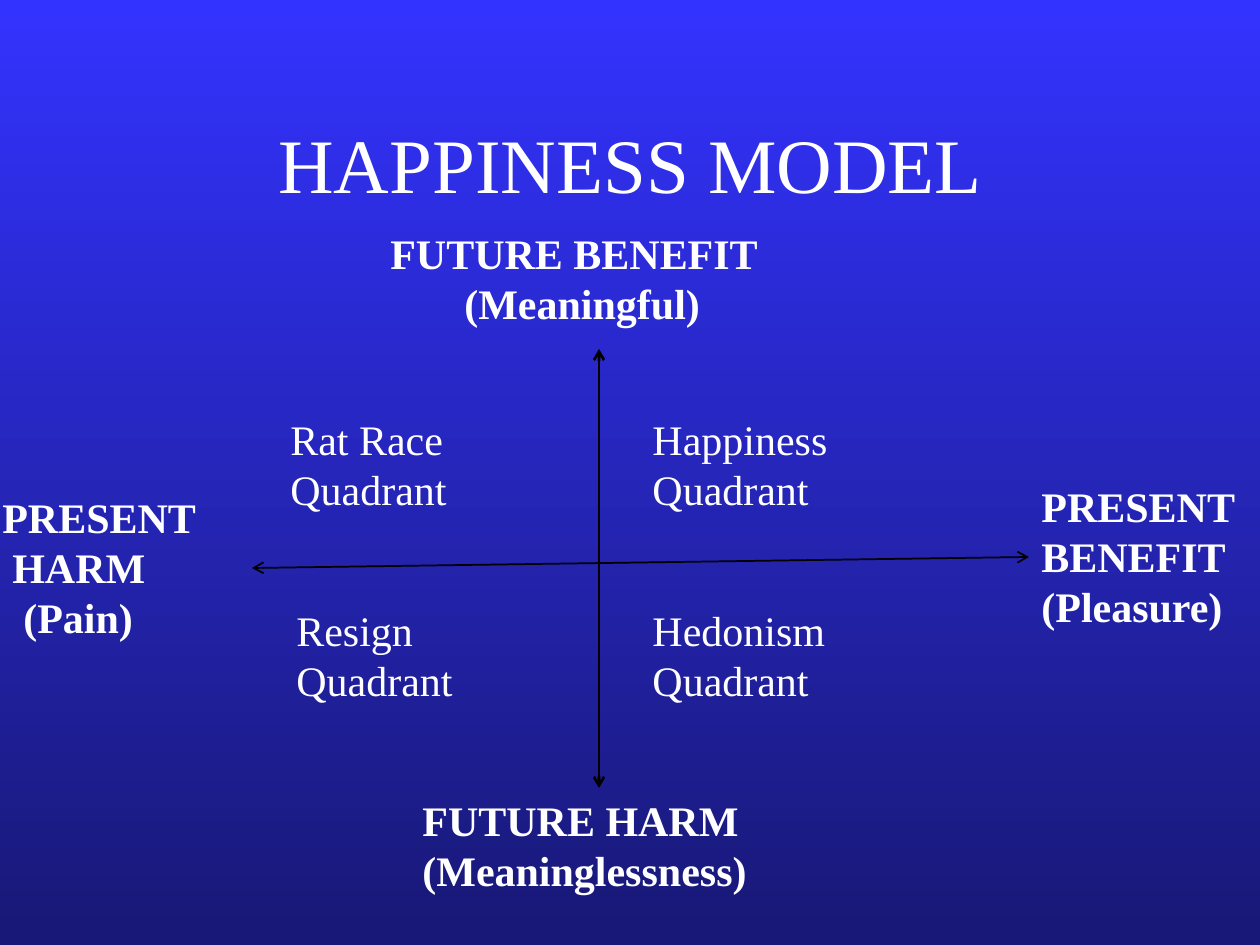
"""Build the happiness model slide: two crossing axes with labelled ends and quadrants."""
from lxml import etree
from pptx import Presentation
from pptx.dml.color import RGBColor
from pptx.enum.shapes import MSO_CONNECTOR
from pptx.enum.text import MSO_ANCHOR, MSO_AUTO_SIZE, PP_ALIGN
from pptx.oxml.ns import qn
from pptx.util import Emu, Pt

STRAIGHT = MSO_CONNECTOR.STRAIGHT
LEFT, CENTER = PP_ALIGN.LEFT, PP_ALIGN.CENTER
MIDDLE = MSO_ANCHOR.MIDDLE
FIXED, GROW = MSO_AUTO_SIZE.NONE, MSO_AUTO_SIZE.SHAPE_TO_FIT_TEXT

WHITE = RGBColor(0xFF, 0xFF, 0xFF)
BLACK = RGBColor(0x00, 0x00, 0x00)
BRIGHT_BLUE = RGBColor(0x33, 0x33, 0xFF)
DARK_BLUE = RGBColor(0x18, 0x18, 0x76)
FONT = "Times New Roman"

TITLE = "HAPPINESS MODEL"
TITLE_AREA = (95, 84, 1071, 158)
AXES = [
    ((599, 349), (599, 788), 1.5),
    ((252, 568), (1029, 557), 1),
]
AXIS_LABELS = [
    ((378, 221, 441, 113), [("FUTURE BENEFIT", 0), ("(Meaningful)", 74)]),
    ((410, 788, 462, 113), [("FUTURE HARM", 0), ("(Meaninglessness)", 0)]),
    ((-10, 485, 451, 164), [("PRESENT", 0), ("HARM", 10), ("(Pain)", 21)]),
    ((1029, 474, 231, 164), [("PRESENT BENEFIT", 0), ("(Pleasure)", 0)]),
]
QUADRANTS = [
    ((278, 407, 325, 113), [("Rat Race Quadrant", 0)]),
    ((284, 598, 242, 113), [("Resign Quadrant", 0)]),
    ((640, 598, 284, 113), [("Hedonism", 0), ("Quadrant", 0)]),
    ((640, 407, 210, 113), [("Happiness", 0), ("Quadrant", 0)]),
]


def px(length):
    return Emu(round(length * 914400 / 126))


def write(frame, lines, size=24, bold=False, align=LEFT):
    frame.word_wrap = True
    for index, (text, indent) in enumerate(lines):
        para = frame.paragraphs[0] if index == 0 else frame.add_paragraph()
        para.alignment = align
        if indent:
            para._p.get_or_add_pPr().set("marL", str(px(indent)))
        span = para.add_run()
        span.text = text
        span.font.name = FONT
        span.font.size = Pt(size)
        span.font.bold = bold
        span.font.color.rgb = WHITE


def add_axis(page, start, end, width):
    axis = page.shapes.add_connector(STRAIGHT, *map(px, start + end))
    axis.line.color.rgb = BLACK
    axis.line.width = Pt(width)
    for tag in ("a:headEnd", "a:tailEnd"):
        etree.SubElement(axis.line._get_or_add_ln(), qn(tag), type="arrow")
    etree.SubElement(axis._element.spPr, qn("a:effectLst"))


def main():
    deck = Presentation()
    deck.slide_width, deck.slide_height = px(1260), px(945)
    page = deck.slides.add_slide(deck.slide_layouts.get_by_name("Title Only"))

    fill = page.background.fill
    fill.gradient()
    fill.gradient_angle = 270
    for stop, color in zip(fill.gradient_stops, (BRIGHT_BLUE, DARK_BLUE)):
        stop.color.rgb = color
    for stop, position in zip(fill.gradient_stops, (0, 1)):
        stop.position = position

    title = page.shapes.title
    title.left, title.top, title.width, title.height = map(px, TITLE_AREA)
    title.text_frame.auto_size = FIXED
    title.text_frame.vertical_anchor = MIDDLE
    write(title.text_frame, [(TITLE, 0)], size=44, align=CENTER)

    for start, end, width in AXES:
        add_axis(page, start, end, width)

    for labels, bold in ((AXIS_LABELS, True), (QUADRANTS, False)):
        for area, lines in labels:
            box = page.shapes.add_textbox(*map(px, area))
            box.text_frame.auto_size = GROW
            write(box.text_frame, lines, bold=bold)

    deck.save("out.pptx")


if __name__ == "__main__":
    main()
